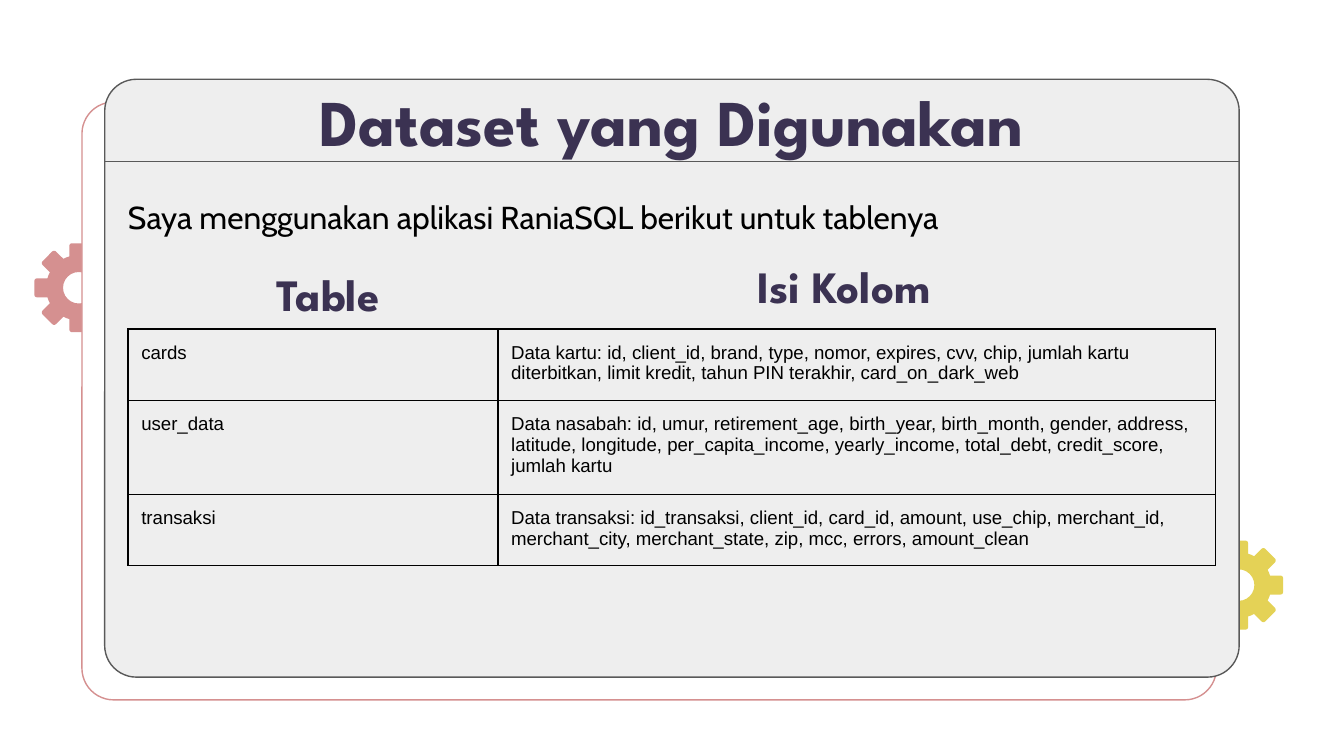
from math import cos, radians, sin

from lxml.etree import SubElement
from pptx import Presentation
from pptx.dml.color import RGBColor
from pptx.enum.shapes import MSO_CONNECTOR, MSO_SHAPE
from pptx.enum.text import MSO_ANCHOR, PP_ALIGN
from pptx.oxml.ns import qn
from pptx.util import Cm, Pt

INK, BLACK, GREY, PINK, YELLOW = "3B3252", "000000", "595959", "D59090", "E4D256"

prs = Presentation()
prs.slide_width, prs.slide_height = Cm(25.4), Cm(14.29)
s = prs.slides.add_slide(prs.slide_layouts[6])


def rgb(color):
    return RGBColor.from_string(color)


def add_shape(kind, x, y, w, h, fill, line=None):
    """Add a flat shape, measured in cm; without a line colour it has no outline."""
    sp = s.shapes.add_shape(kind, Cm(x), Cm(y), Cm(w), Cm(h))
    sp.shadow.inherit = False
    sp.fill.solid()
    sp.fill.fore_color.rgb = rgb(fill)
    if line:
        sp.line.color.rgb = rgb(line)
        sp.line.width = Pt(0.75)
    else:
        sp.line.fill.background()
    return sp


# Gears: a ring with five teeth on the side that sticks out from the card
ring, tooth_w, tooth_h, reach = 1.24, 0.36, 0.38, 0.65
for cx, cy, side, color in [(1.49, 5.44, -1, PINK), (23.41, 11.06, 1, YELLOW)]:
    sp = add_shape(MSO_SHAPE.DONUT, cx - ring / 2, cy - ring / 2, ring, ring, color)
    sp.adjustments[0] = 0.26
    for step in range(5):
        angle = side * 45 * step
        x = cx + reach * sin(radians(angle))
        y = cy - reach * cos(radians(angle))
        sp = add_shape(MSO_SHAPE.ROUND_2_SAME_RECTANGLE, x - tooth_w / 2,
                       y - tooth_h / 2, tooth_w, tooth_h, color)
        sp.adjustments[0] = 0.14
        sp.rotation = angle

# Card with an offset sheet behind it
for x, y, fill, line in [(1.55, 1.93, "FFFFFF", PINK), (1.98, 1.5, "EEEEEE", GREY)]:
    sp = add_shape(MSO_SHAPE.ROUNDED_RECTANGLE, x, y, 21.44, 11.3, fill, line)
    sp.adjustments[0] = 0.053

rule = s.shapes.add_connector(MSO_CONNECTOR.STRAIGHT, Cm(1.98), Cm(3.05), Cm(23.42), Cm(3.05))
rule.line.color.rgb = rgb(GREY)
rule.line.width = Pt(0.75)
SubElement(rule._element.spPr, qn("a:effectLst"))

# Title, introduction and column headings
TOP, MIDDLE = MSO_ANCHOR.TOP, MSO_ANCHOR.MIDDLE
LEFT, CENTER = PP_ALIGN.LEFT, PP_ALIGN.CENTER
texts = [
    ("Dataset yang Digunakan", 1.98, 1.5, 21.44, 1.55, 35, "League Spartan", INK, CENTER, MIDDLE),
    ("Saya menggunakan aplikasi RaniaSQL berikut untuk tablenya",
     2.42, 3.73, 20.55, 1.5, 17, "Cabin", BLACK, LEFT, TOP),
    ("Table", 3.48, 5.05, 5.44, 1.55, 24, "League Spartan", INK, CENTER, TOP),
    ("Isi Kolom", 13.23, 4.9, 5.44, 1.55, 24, "League Spartan", INK, CENTER, TOP),
]
for text, x, y, w, h, size, font, color, align, anchor in texts:
    tf = s.shapes.add_textbox(Cm(x), Cm(y), Cm(w), Cm(h)).text_frame
    tf.word_wrap = True
    tf.vertical_anchor = anchor
    tf.margin_left = tf.margin_right = tf.margin_top = tf.margin_bottom = 0
    p = tf.paragraphs[0]
    p.text = text
    p.alignment = align
    p.font.name, p.font.size = font, Pt(size)
    p.font.bold = font == "League Spartan"
    p.font.color.rgb = rgb(color)

# Table of datasets
rows = [
    ("cards", "Data kartu: id, client_id, brand, type, nomor, expires, cvv, chip, jumlah kartu "
              "diterbitkan, limit kredit, tahun PIN terakhir, card_on_dark_web"),
    ("user_data", "Data nasabah: id, umur, retirement_age, birth_year, birth_month, gender, "
                  "address, latitude, longitude, per_capita_income, yearly_income, total_debt, "
                  "credit_score, jumlah kartu"),
    ("transaksi", "Data transaksi: id_transaksi, client_id, card_id, amount, use_chip, "
                  "merchant_id, merchant_city, merchant_state, zip, mcc, errors, amount_clean"),
]
table = s.shapes.add_table(3, 2, Cm(2.42), Cm(6.22), Cm(20.55), Cm(4.28)).table
table.first_row = table.horz_banding = False
for column, width in zip(table.columns, (6.99, 13.56)):
    column.width = Cm(width)
for row, height, values in zip(table.rows, (1.29, 1.7, 1.29), rows):
    row.height = Cm(height)
    for cell, value, space in zip(row.cells, values, (12, 16)):
        cell.margin_left = cell.margin_right = cell.margin_top = cell.margin_bottom = Cm(0.25)
        p = cell.text_frame.paragraphs[0]
        p.text = value
        p.space_after = Pt(space)
        p.font.name, p.font.size = "Arial", Pt(10)
        p.font.color.rgb = rgb(BLACK)
        tcPr = cell._tc.get_or_add_tcPr()
        for edge in ("a:lnL", "a:lnR", "a:lnT", "a:lnB"):
            ln = SubElement(tcPr, qn(edge), w=str(Pt(0.75)))
            SubElement(SubElement(ln, qn("a:solidFill")), qn("a:srgbClr"), val=BLACK)
        cell.fill.background()

prs.save("out.pptx")
